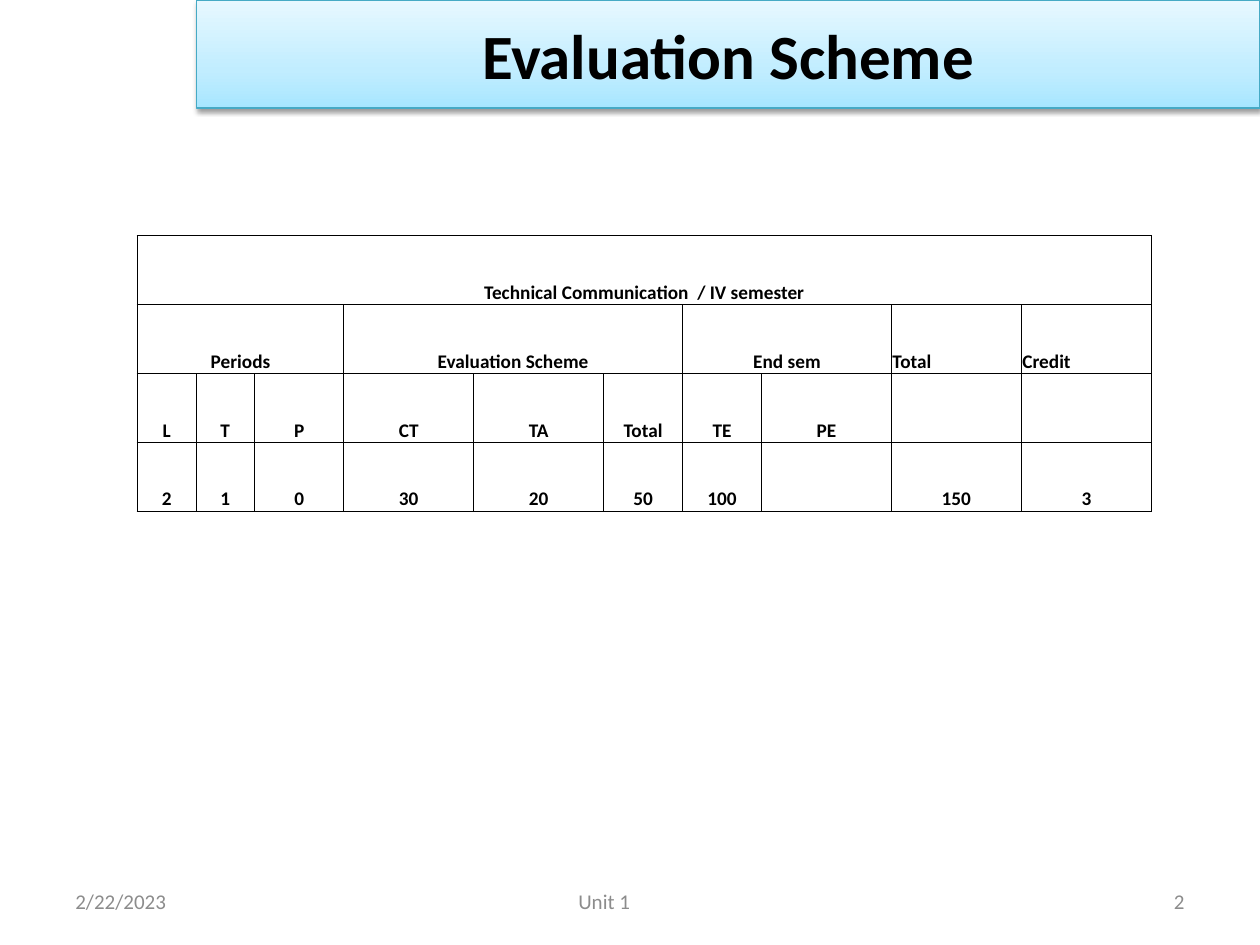
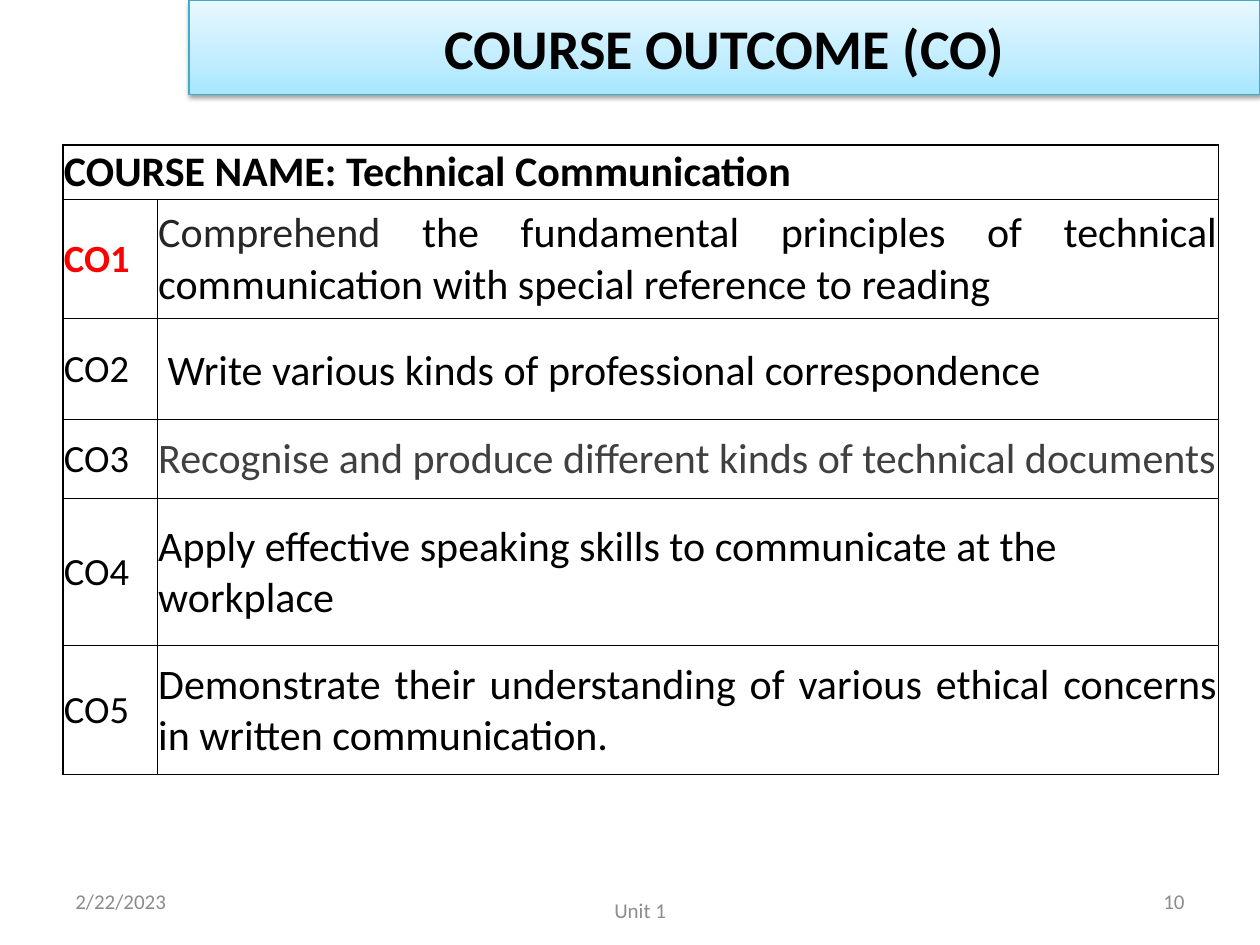
from lxml import etree
from pptx import Presentation
from pptx.dml.color import RGBColor
from pptx.enum.shapes import MSO_SHAPE
from pptx.enum.text import MSO_ANCHOR, PP_ALIGN
from pptx.oxml.ns import qn
from pptx.util import Cm, Pt

RECTANGLE = MSO_SHAPE.RECTANGLE
MIDDLE, BOTTOM = MSO_ANCHOR.MIDDLE, MSO_ANCHOR.BOTTOM
LEFT, CENTER, RIGHT = PP_ALIGN.LEFT, PP_ALIGN.CENTER, PP_ALIGN.RIGHT
JUSTIFY = PP_ALIGN.JUSTIFY

BLACK = RGBColor(0x00, 0x00, 0x00)
RED = RGBColor(0xFF, 0x00, 0x00)
CHARCOAL = RGBColor(0x26, 0x26, 0x26)
DARK_GREY = RGBColor(0x40, 0x40, 0x40)
FOOTER_GREY = RGBColor(0x8C, 0x8C, 0x8C)
BAND_EDGE = RGBColor(0x46, 0xAA, 0xC5)
BAND_STOPS = (
    (0, RGBColor(0xA7, 0xE6, 0xFF)),
    (35, RGBColor(0xC1, 0xED, 0xFF)),
    (100, RGBColor(0xE7, 0xF8, 0xFF)),
)

FONT = "Calibri"
DATE, UNIT = "2/22/2023", "Unit 1"
DATE_BOX = (1.27, 17.65, 5.93, 1.02)
NUMBER_BOX = (18.2, 17.65, 5.93, 1.02)
UNIT_MARGIN = 1.32
CELL_MARGIN = 0.02
THIN, THICK = 0.5, 1

SCHEME_COLUMNS = (1.18, 1.18, 1.8, 2.62, 2.62, 1.59, 1.59, 2.62, 2.62, 2.62)
SCHEME_ROWS = (
    (("Technical Communication  / IV semester", 10),),
    (("Periods", 3), ("Evaluation Scheme", 3), ("End sem", 2), ("Total", 1), ("Credit", 1)),
    tuple((label, 1) for label in ("L", "T", "P", "CT", "TA", "Total", "TE", "PE", "", "")),
    tuple((mark, 1) for mark in ("2", "1", "0", "30", "20", "50", "100", "", "150", "3")),
)
LEFT_HEADINGS = ("Total", "Credit")

OUTCOME_COLUMNS = (1.9, 21.39)
OUTCOME_HEIGHTS = (1.09, 2.41, 2.03, 1.6, 2.97, 2.59)
OUTCOMES = (
    (JUSTIFY, (("Comprehend", CHARCOAL),
               (" the fundamental principles of technical communication"
                " with special reference to reading", BLACK))),
    (JUSTIFY, (("Write various kinds of professional correspondence", BLACK),)),
    (LEFT, (("Recognise and produce different kinds of technical documents", DARK_GREY),)),
    (LEFT, (("Apply effective speaking skills to communicate at the workplace", BLACK),)),
    (JUSTIFY, (("Demonstrate their understanding of various ethical concerns"
                " in written communication.", BLACK),)),
)


def apply(target, values):
    for attribute, value in values.items():
        setattr(target, attribute, value)


def add_child(parent, tag, **attributes):
    child = etree.SubElement(parent, qn(tag))
    for key, value in attributes.items():
        child.set(key, str(value))
    return child


def write(frame, runs, size, bold=False, align=LEFT):
    paragraph = frame.paragraphs[0]
    paragraph.alignment = align
    for words, color in runs:
        run = paragraph.add_run()
        run.text = words
        apply(run.font, {"name": FONT, "size": Pt(size), "bold": bold})
        run.font.color.rgb = color
    return paragraph


def add_title_band(slide, box, title, size):
    band = slide.shapes.add_shape(RECTANGLE, *map(Cm, box))
    band.fill.gradient()
    band.fill.gradient_angle = 90
    stops = band.element.spPr.find(".//" + qn("a:gsLst"))
    stops.clear()
    for position, color in BAND_STOPS:
        stop = add_child(stops, "a:gs", pos=position * 1000)
        add_child(stop, "a:srgbClr", val=color)
    band.line.color.rgb = BAND_EDGE
    band.line.width = Pt(0.75)
    band.shadow.inherit = False
    effects = band.element.spPr.find(qn("a:effectLst"))
    shadow = add_child(effects, "a:outerShdw", blurRad=Pt(3.1), dist=Pt(1.6),
                       dir=5400000, rotWithShape=0)
    shade = add_child(shadow, "a:srgbClr", val=BLACK)
    add_child(shade, "a:alpha", val=38000)
    apply(band.text_frame, {"word_wrap": True, "vertical_anchor": MIDDLE})
    write(band.text_frame, ((title, BLACK),), size, True, CENTER)


def add_footer(slide, unit_box, number):
    entries = (
        (DATE_BOX, DATE, LEFT, {}),
        (unit_box, UNIT, CENTER, {"margin_right": Cm(UNIT_MARGIN)}),
        (NUMBER_BOX, number, RIGHT, {}),
    )
    for box, words, align, margins in entries:
        frame = slide.shapes.add_textbox(*map(Cm, box)).text_frame
        apply(frame, {"word_wrap": True, "vertical_anchor": MIDDLE, **margins})
        write(frame, ((words, FOOTER_GREY),), 12, align=align)


def add_grid(slide, box, columns, heights, anchor, edges):
    left, top, width, height = box
    grid = slide.shapes.add_table(len(heights), len(columns), *map(Cm, box)).table
    apply(grid, {"first_row": False, "horz_banding": False})
    for column, share in zip(grid.columns, columns):
        column.width = Cm(width * share / sum(columns))
    for row, share in zip(grid.rows, heights):
        row.height = Cm(height * share / sum(heights))
    last_row, last_column = len(heights) - 1, len(columns) - 1
    for r, row in enumerate(grid.rows):
        for c, cell in enumerate(row.cells):
            apply(cell, {"vertical_anchor": anchor, "margin_left": Cm(CELL_MARGIN),
                         "margin_right": Cm(CELL_MARGIN), "margin_top": Cm(CELL_MARGIN),
                         "margin_bottom": 0})
            outer = {"L": c == 0, "R": c == last_column, "T": r == 0, "B": r == last_row}
            properties = cell._tc.get_or_add_tcPr()
            for side, is_outer in outer.items():
                weight = THICK if is_outer and side in edges else THIN
                border = add_child(properties, "a:ln" + side, w=Pt(weight))
                add_child(add_child(border, "a:solidFill"), "a:srgbClr", val=BLACK)
            cell.fill.background()
    return grid


def add_scheme_table(slide, box):
    grid = add_grid(slide, box, SCHEME_COLUMNS, (1,) * len(SCHEME_ROWS), BOTTOM, "LR")
    for r, entries in enumerate(SCHEME_ROWS):
        c = 0
        for words, span in entries:
            cell = grid.cell(r, c)
            if span > 1:
                cell.merge(grid.cell(r, c + span - 1))
            if words:
                align = LEFT if r == 1 and words in LEFT_HEADINGS else CENTER
                write(cell.text_frame, ((words, BLACK),), 11, True, align)
            c += span


def add_outcome_table(slide, box):
    grid = add_grid(slide, box, OUTCOME_COLUMNS, OUTCOME_HEIGHTS, MIDDLE, "LRTB")
    heading = grid.cell(0, 0)
    heading.merge(grid.cell(0, 1))
    write(heading.text_frame, (("COURSE NAME: Technical Communication", BLACK),), 24, True)
    for number, (align, runs) in enumerate(OUTCOMES, 1):
        current = number == 1
        code = ((f"CO{number}", RED if current else BLACK),)
        write(grid.cell(number, 0).text_frame, code, 22, current)
        outcome = grid.cell(number, 1)
        paragraph = write(outcome.text_frame, runs, 24, align=align)
        if number == 2:
            outcome.margin_left = Cm(0.21)
            apply(paragraph, {"line_spacing": 1.07, "space_after": Pt(8)})


def build_scheme_slide(slide):
    add_footer(slide, (8.69, 17.65, 8.05, 1.02), "2")
    add_title_band(slide, (3.96, 0, 21.44, 2.18), "Evaluation Scheme", 36)
    add_scheme_table(slide, (2.77, 4.75, 20.44, 5.56))


def build_outcome_slide(slide):
    add_title_band(slide, (3.81, 0, 21.59, 1.9), "COURSE OUTCOME (CO)", 32)
    add_outcome_table(slide, (1.27, 2.92, 23.29, 12.69))
    add_footer(slide, (5.92, 17.65, 15.04, 1.4), "10")


def main():
    deck = Presentation()
    apply(deck, {"slide_width": Cm(25.4), "slide_height": Cm(19.05)})
    blank = deck.slide_layouts[6]
    for build in (build_scheme_slide, build_outcome_slide):
        build(deck.slides.add_slide(blank))
    deck.save("out.pptx")


if __name__ == "__main__":
    main()
